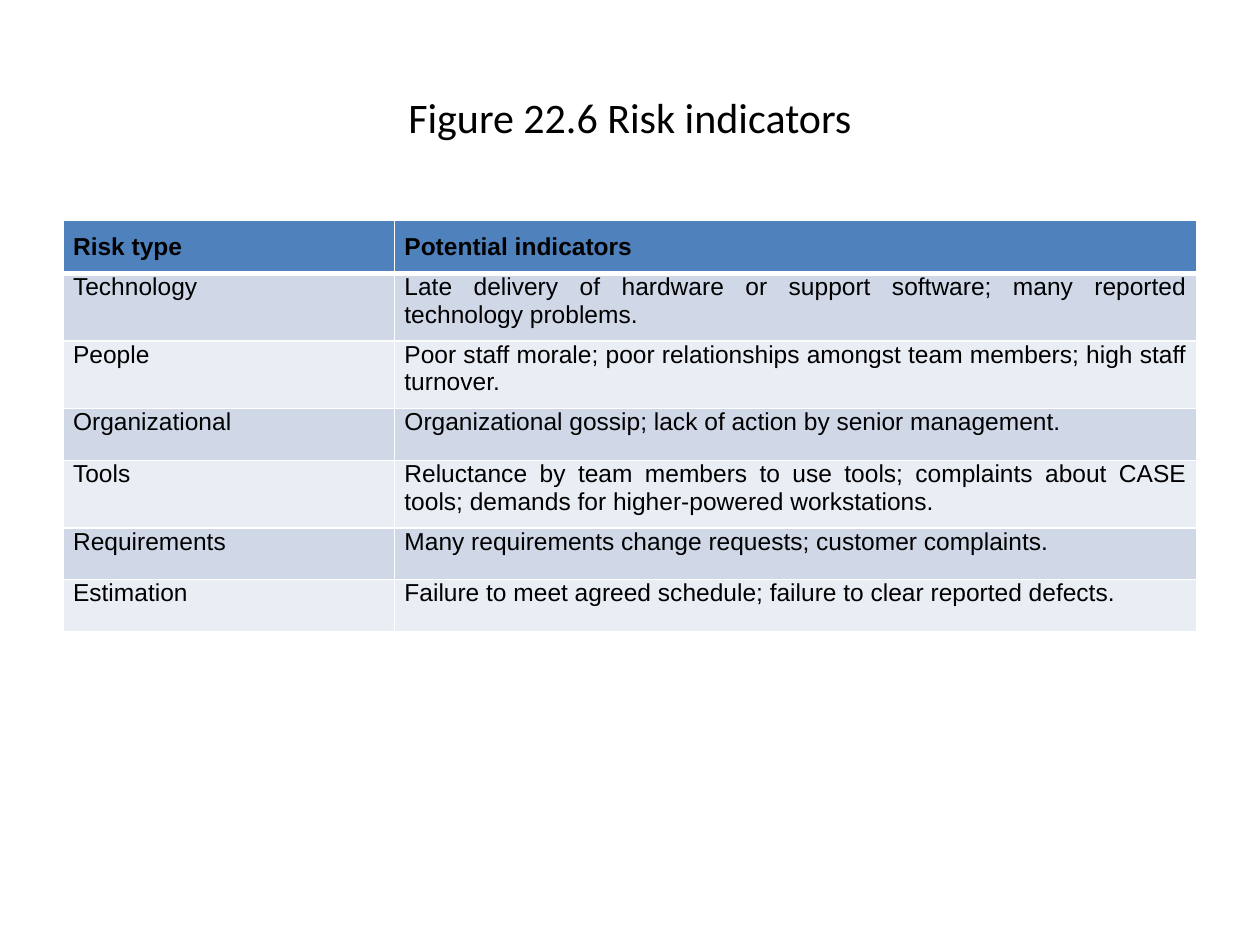
from lxml.etree import SubElement
from pptx import Presentation
from pptx.dml.color import RGBColor
from pptx.enum.text import MSO_ANCHOR, PP_ALIGN
from pptx.oxml.ns import qn
from pptx.util import Inches, Pt

BLACK = RGBColor(0x00, 0x00, 0x00)
WHITE = RGBColor(0xFF, 0xFF, 0xFF)
HEADER_BLUE = RGBColor(0x4F, 0x81, 0xBD)
BANDS = [RGBColor(0xE9, 0xED, 0xF4), RGBColor(0xD0, 0xD8, 0xE8)]

RISKS = [
    ("Risk type", "Potential indicators"),
    ("Technology", "Late delivery of hardware or support software; "
                   "many reported technology problems."),
    ("People", "Poor staff morale; poor relationships amongst team members; "
               "high staff turnover."),
    ("Organizational", "Organizational gossip; lack of action by senior management."),
    ("Tools", "Reluctance by team members to use tools; complaints about CASE tools; "
              "demands for higher-powered workstations."),
    ("Requirements", "Many requirements change requests; customer complaints."),
    ("Estimation", "Failure to meet agreed schedule; failure to clear reported defects."),
]
COLUMN_WIDTHS = [Inches(2.63), Inches(6.37)]
ROW_HEIGHT = Inches(0.41)


def add_text(para, text, font_name, size, bold=False):
    span = para.add_run()
    span.text = text
    span.font.name = font_name
    span.font.size = Pt(size)
    span.font.bold = bold
    span.font.color.rgb = BLACK


def add_border(cell, side, width):
    line = SubElement(cell._tc.get_or_add_tcPr(), qn(f"a:ln{side}"), w=str(Pt(width)))
    fill = SubElement(line, qn("a:solidFill"))
    SubElement(fill, qn("a:srgbClr"), val=str(WHITE))


deck = Presentation()
deck.slide_width, deck.slide_height = Inches(10), Inches(7.5)
page = deck.slides.add_slide(deck.slide_layouts[5])
margin = deck.slide_width // 20
content_width = deck.slide_width - 2 * margin

title = page.shapes.title
title.left, title.top = margin, Inches(0.3)
title.width, title.height = content_width, Inches(1.25)
title.text_frame.vertical_anchor = MSO_ANCHOR.MIDDLE
title_para = title.text_frame.paragraphs[0]
title_para.alignment = PP_ALIGN.CENTER
add_text(title_para, "Figure 22.6 Risk indicators", "Calibri", 24)

table = page.shapes.add_table(
    len(RISKS), len(COLUMN_WIDTHS), margin, Inches(1.75),
    content_width, ROW_HEIGHT * len(RISKS)).table
for column, width in zip(table.columns, COLUMN_WIDTHS):
    column.width = width

for row_index, texts in enumerate(RISKS):
    is_header = row_index == 0
    table.rows[row_index].height = ROW_HEIGHT
    for column_index, text in enumerate(texts):
        cell = table.cell(row_index, column_index)
        cell.margin_left = cell.margin_right = Inches(0.08)
        cell.margin_top = Inches(0.1 if is_header else 0)
        cell.margin_bottom = Inches(0.1)
        for side in "LRTB":
            thick = (is_header and side == "B") or (row_index == 1 and side == "T")
            add_border(cell, side, 3 if thick else 1)
        cell.fill.solid()
        cell.fill.fore_color.rgb = HEADER_BLUE if is_header else BANDS[row_index % 2]
        para = cell.text_frame.paragraphs[0]
        para.alignment = PP_ALIGN.JUSTIFY
        add_text(para, text, "Arial", 14, bold=is_header)

deck.save("out.pptx")
